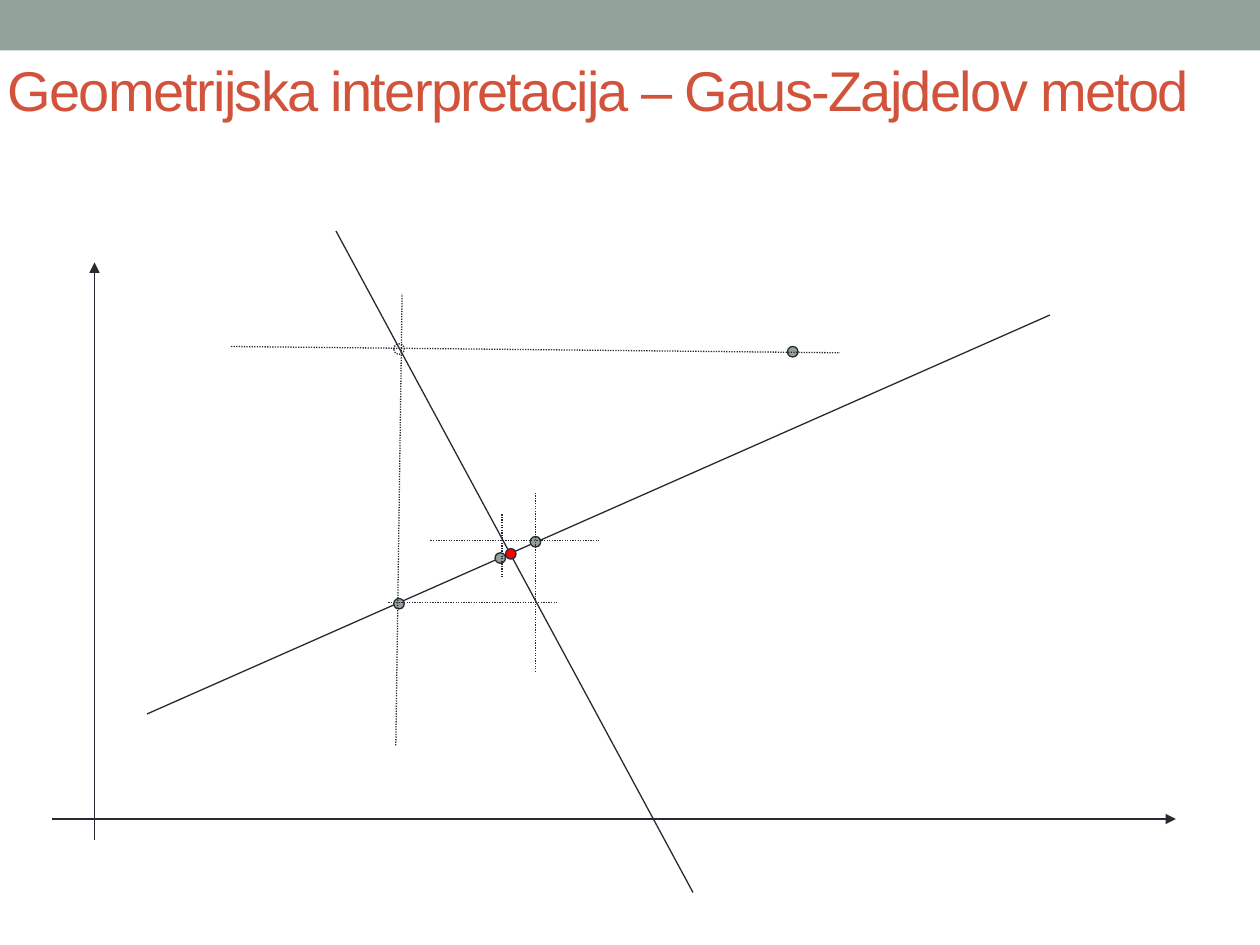
from pptx import Presentation
from pptx.dml.color import RGBColor
from pptx.enum.dml import MSO_LINE as Dash
from pptx.enum.shapes import MSO_CONNECTOR as Conn, MSO_SHAPE as Shape
from pptx.enum.text import MSO_ANCHOR as Anchor
from pptx.oxml.ns import qn
from pptx.util import Inches, Pt
from lxml.etree import SubElement as sub

INK = RGBColor(0x29, 0x29, 0x34)
SAGE = RGBColor(0x93, 0xA2, 0x99)
RUST = RGBColor(0xD2, 0x53, 0x3C)
RED = RGBColor(0xFF, 0, 0)
COLS, ROWS = 120, 90


class Sketch:
    """Draws on one slide; lengths are columns and rows of a 120 x 90 grid."""

    def __init__(self, deck):
        self.deck = deck
        self.page = deck.slides.add_slide(deck.slide_layouts[6])

    def grid(self, *spots):
        steps = (self.deck.slide_width / COLS, self.deck.slide_height / ROWS)
        return [round(spot * steps[i % 2]) for i, spot in enumerate(spots)]

    def pen(self, line, dash):
        line.color.rgb = INK
        line.width = Pt(0.75)
        if dash:
            line.dash_style = dash

    def line(self, *ends, dash=None, arrow=False):
        link = self.page.shapes.add_connector(Conn.STRAIGHT, *self.grid(*ends))
        self.pen(link.line, dash)
        if arrow:
            sub(link.line._get_or_add_ln(), qn("a:tailEnd"), type="triangle")
        sub(link._element.spPr, qn("a:effectLst"))

    def shape(self, kind, *box, fill=None):
        item = self.page.shapes.add_shape(kind, *self.grid(*box))
        item.shadow.inherit = False
        if fill is None:
            item.fill.background()
        else:
            item.fill.solid()
            item.fill.fore_color.rgb = fill
        return item

    def band(self, *box):
        self.shape(Shape.RECTANGLE, *box, fill=SAGE).line.fill.background()

    def dot(self, col, row, fill=SAGE, dash=None):
        item = self.shape(Shape.OVAL, col, row, 1, 1, fill=fill)
        self.pen(item.line, dash)

    def title(self, text, *box):
        frame = self.page.shapes.add_textbox(*self.grid(*box)).text_frame
        form = {"word_wrap": True, "vertical_anchor": Anchor.MIDDLE,
                "margin_left": Inches(0.81), "margin_right": 0,
                "margin_top": Inches(0.16), "margin_bottom": 0}
        for name, value in form.items():
            setattr(frame, name, value)
        run = frame.paragraphs[0].add_run()
        run.text = text
        for name, value in {"name": "Arial", "size": Pt(32)}.items():
            setattr(run.font, name, value)
        run.font.color.rgb = RUST
        run._r.get_or_add_rPr().set("spc", "-100")


def main():
    deck = Presentation()
    deck.slide_width, deck.slide_height = Inches(10), Inches(7.5)
    art = Sketch(deck)

    # Top band and title
    art.band(0, 0, COLS, 4.8)
    art.title("Geometrijska interpretacija – Gaus-Zajdelov metod",
              -9, 1, 127, 13)

    # Axes
    art.line(9, 80, 9, 25, arrow=True)
    art.line(5, 78, 112, 78, arrow=True)

    # The two equations
    art.line(66, 85, 32, 22)
    art.line(14, 68, 100, 30)

    # Iterates, with the solution in red
    art.dot(37.5, 32.75, fill=None, dash=Dash.ROUND_DOT)
    for spot in ((75, 33), (37.5, 57), (50.5, 51.1), (47.15, 52.65)):
        art.dot(*spot)
    art.dot(48.15, 52.25, fill=RED)

    # Steps from one iterate to the next
    for ends in ((22, 33, 80, 33.6), (37.7, 71, 38.3, 28),
                 (37, 57.4, 53, 57.4), (51, 64, 51, 47),
                 (41, 51.5, 57, 51.5), (47.8, 55, 47.8, 49)):
        art.line(*ends, dash=Dash.ROUND_DOT)

    deck.save("out.pptx")


if __name__ == "__main__":
    main()
